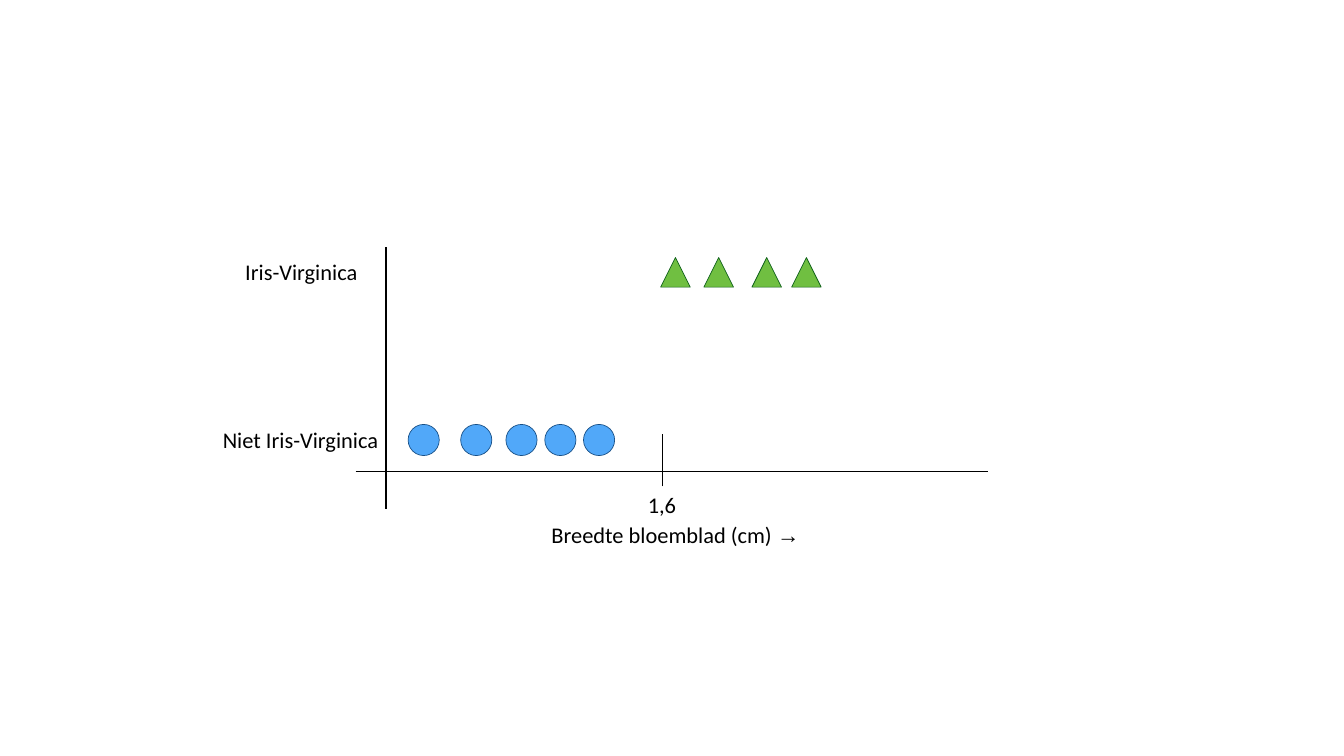
from lxml import etree
from pptx import Presentation
from pptx.dml.color import RGBColor
from pptx.enum.shapes import MSO_CONNECTOR, MSO_SHAPE
from pptx.enum.text import MSO_ANCHOR, MSO_AUTO_SIZE, PP_ALIGN
from pptx.oxml.ns import qn
from pptx.util import Cm, Pt

STRAIGHT = MSO_CONNECTOR.STRAIGHT
TRIANGLE, CIRCLE = MSO_SHAPE.ISOSCELES_TRIANGLE, MSO_SHAPE.OVAL
MIDDLE, CENTER = MSO_ANCHOR.MIDDLE, PP_ALIGN.CENTER
FIT_SHAPE = MSO_AUTO_SIZE.SHAPE_TO_FIT_TEXT

BLACK = RGBColor(0x00, 0x00, 0x00)
GREEN, DARK_GREEN = RGBColor(0x70, 0xBF, 0x41), RGBColor(0x0B, 0x5D, 0x18)
BLUE, DARK_BLUE = RGBColor(0x51, 0xA8, 0xF9), RGBColor(0x17, 0x4F, 0x86)

# Content, lengths in cm
AXES = [  # start x, start y, end x, end y
    (19.46, 25.65, 19.46, 12.45),
    (17.93, 23.75, 49.78, 23.75),
]
THRESHOLD = (33.38, 24.51, 33.38, 21.87)
MARKERS = [  # shape, fill, outline, top, size, left edges
    (TRIANGLE, GREEN, DARK_GREEN, 12.98, 1.49, (33.3, 35.48, 37.9, 39.9)),
    (CIRCLE, BLUE, DARK_BLUE, 21.39, 1.57, (20.57, 23.22, 25.5, 27.46, 29.41)),
]
LABELS = [  # left, top, width, height, (text, font) spans
    (12.14, 12.95, 6.1, 1.52, [("Iris-Virginica", "Calibri")]),
    (11.02, 21.41, 8.26, 1.52, [("Niet Iris-Virginica", "Calibri")]),
    (27.46, 26.06, 13.18, 1.78,
     [("Breedte bloemblad (cm) ", "Calibri"), ("→ ", "Arial")]),
    (32.44, 24.66, 1.85, 1.52, [("1,6", "Calibri")]),
]
FRAME_FORMAT = {
    "margin_left": Cm(0.2), "margin_right": Cm(0.2),
    "margin_top": Cm(0.2), "margin_bottom": Cm(0.2),
    "vertical_anchor": MIDDLE, "word_wrap": False, "auto_size": FIT_SHAPE,
}


def add_line(page, ends):
    line = page.shapes.add_connector(STRAIGHT, *map(Cm, ends))
    line.line.color.rgb = BLACK
    line.line.width = Pt(2)
    properties = line._element.find(qn("p:spPr"))
    etree.SubElement(properties, qn("a:effectLst"))


def add_marker(page, kind, fill, outline, left, top, size):
    marker = page.shapes.add_shape(kind, Cm(left), Cm(top), Cm(size), Cm(size))
    marker.shadow.inherit = False
    marker.fill.solid()
    marker.fill.fore_color.rgb = fill
    marker.line.color.rgb = outline
    marker.line.width = Pt(1)


def add_label(page, left, top, width, height, spans):
    box = page.shapes.add_textbox(Cm(left), Cm(top), Cm(width), Cm(height))
    for name, value in FRAME_FORMAT.items():
        setattr(box.text_frame, name, value)
    para = box.text_frame.paragraphs[0]
    para.alignment = CENTER
    for text, font in spans:
        span = para.add_run()
        span.text = text
        span.font.name = font
        span.font.size = Pt(32)
        span.font.color.rgb = BLACK


def main():
    deck = Presentation()
    deck.slide_width, deck.slide_height = Cm(67.74), Cm(38.1)
    page = deck.slides.add_slide(deck.slide_layouts[6])

    # Axes and threshold tick
    for ends in [*AXES, THRESHOLD]:
        add_line(page, ends)

    # Data points of both classes
    for kind, fill, outline, top, size, lefts in MARKERS:
        for left in lefts:
            add_marker(page, kind, fill, outline, left, top, size)

    # Class names, axis title and threshold value
    for label in LABELS:
        add_label(page, *label)

    deck.save("out.pptx")


if __name__ == "__main__":
    main()
